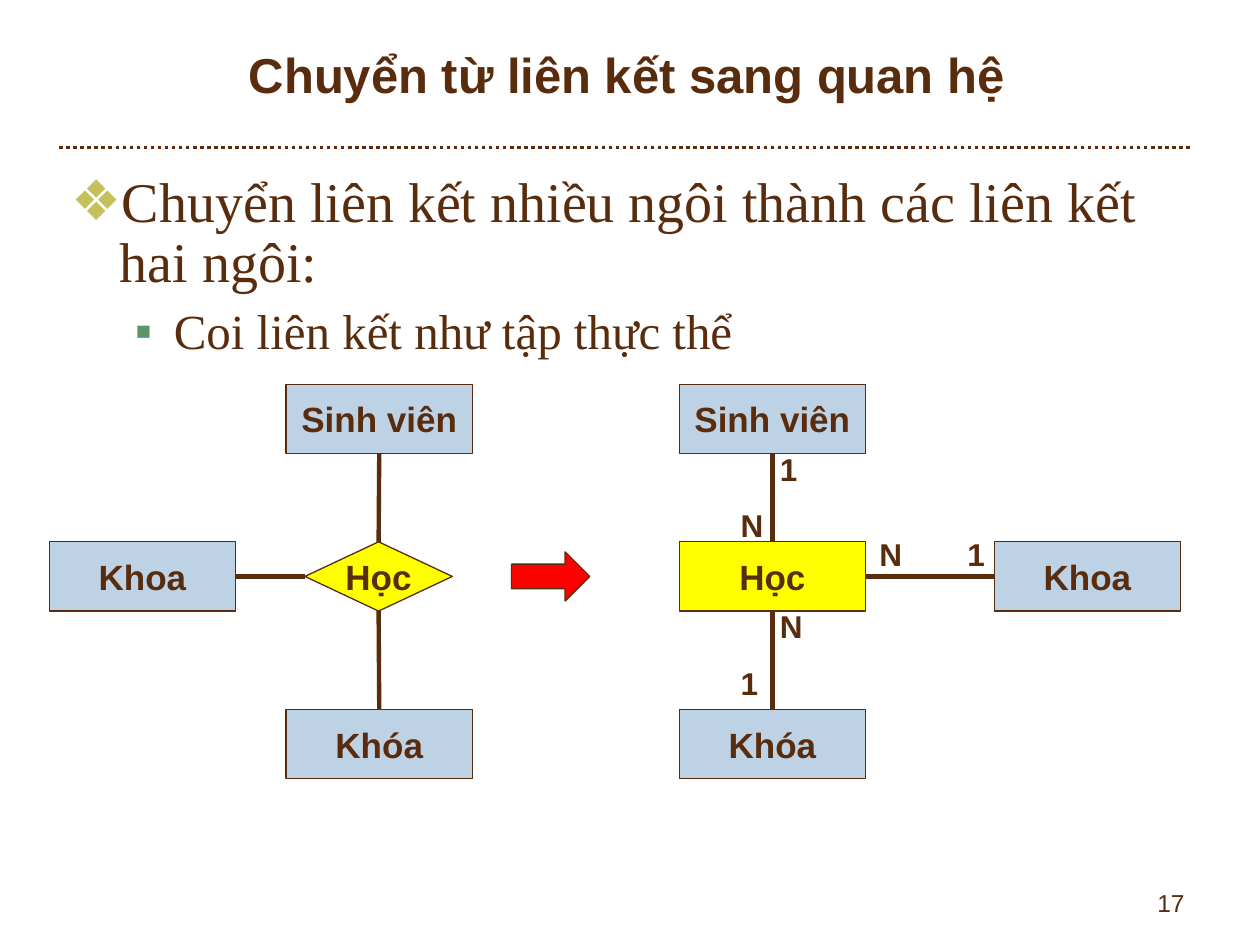
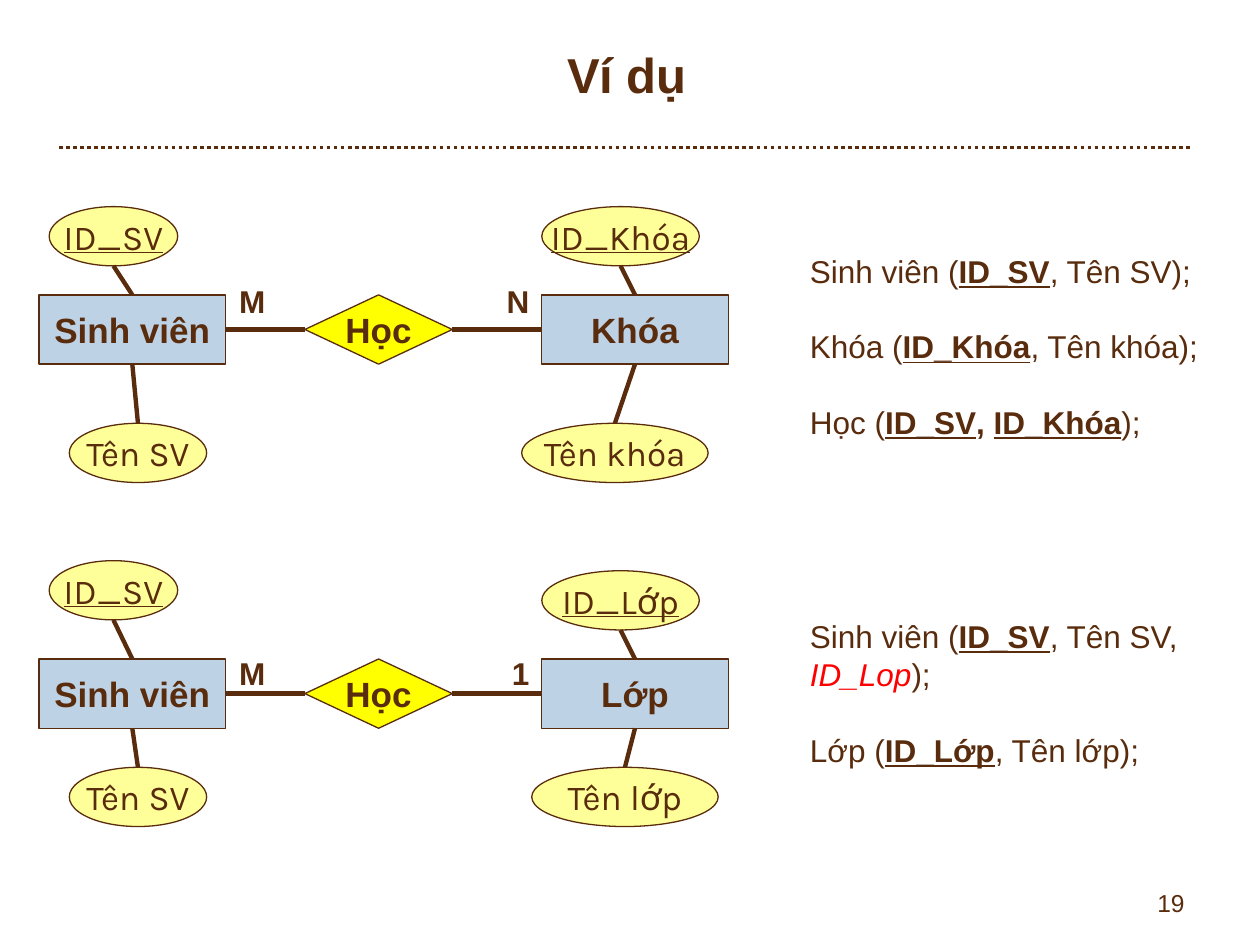
"""Build two slides on turning ER relationships into relations."""
from lxml.etree import SubElement
from pptx import Presentation
from pptx.dml.color import RGBColor
from pptx.enum.dml import MSO_LINE
from pptx.enum.shapes import MSO_CONNECTOR, MSO_SHAPE
from pptx.enum.text import MSO_ANCHOR, MSO_AUTO_SIZE, PP_ALIGN
from pptx.oxml.ns import qn
from pptx.util import Inches, Pt

BROWN = RGBColor(0x59, 0x2C, 0x0D)
BLUE = RGBColor(0xBE, 0xD2, 0xE6)
YELLOW = RGBColor(0xFF, 0xFF, 0x00)
CREAM = RGBColor(0xFF, 0xFF, 0x99)
RED = RGBColor(0xFF, 0x00, 0x00)
OLIVE = RGBColor(0xC5, 0xC0, 0x59)
GREEN = RGBColor(0x5B, 0x95, 0x69)

TOP, LEFT, BOTTOM, RIGHT = range(4)
BOX_W, BOX_H = 1.48, 0.55
GEM_W, OVAL_H = 1.17, 0.47

BULLETS = [
    ("Chuyển liên kết nhiều ngôi thành các liên kết hai ngôi:", 32, 8, "❖", OLIVE, 0.38, 0.38),
    ("Coi liên kết như tập thực thể", 28, 7, "▪", GREEN, 0.81, 0.31),
]

ROWS = (3.05, 4.3, 5.63)
STARS = [
    {"x": 2.27, "gem": True, "side": 0.39, "ends": (LEFT, RIGHT)},
    {"x": 5.39, "gem": False, "side": 7.89, "ends": (RIGHT, LEFT)},
]
COUNTS = [
    ("1", 6.09, 3.52), ("N", 5.78, 3.97),
    ("N", 6.09, 4.77), ("1", 5.78, 5.22),
    ("1", 7.58, 4.2), ("N", 6.88, 4.2),
]

CASES = [
    {
        "y": 2.34, "count": ("N", 2.19), "notes": 1.95, "high": 1.6,
        "sets": [
            ("Sinh viên", 0.31, ("ID_SV", 0.39, 1.64, 1.02), ("Tên SV", 0.55, 3.36, 1.09)),
            ("Khóa", 4.3, ("ID_Khóa", 4.3, 1.64, 1.25), ("Tên khóa", 4.14, 3.36, 1.48)),
        ],
        "lines": [
            [("Sinh viên (", ""), ("ID_SV", "bu"), (", Tên SV);", "")],
            [("Khóa (", ""), ("ID_Khóa", "bu"), (", Tên khóa);", "")],
            [("Học (", ""), ("ID_SV", "bu"), (", ", "b"), ("ID_Khóa", "bu"), (");", "")],
        ],
    },
    {
        "y": 5.23, "count": ("1", 5.14), "notes": 4.85, "high": 1.3,
        "sets": [
            ("Sinh viên", 0.31, ("ID_SV", 0.39, 4.45, 1.02), ("Tên SV", 0.55, 6.09, 1.09)),
            ("Lớp", 4.3, ("ID_Lớp", 4.3, 4.53, 1.25), ("Tên lớp", 4.22, 6.09, 1.48)),
        ],
        "lines": [
            [("Sinh viên (", ""), ("ID_SV", "bu"), (", Tên SV, ", ""), ("ID_Lop", "ir"), (");", "")],
            [("Lớp (", ""), ("ID_Lớp", "bu"), (", Tên lớp);", "")],
        ],
    },
]


def place(shape, *box):
    shape.left, shape.top, shape.width, shape.height = map(Inches, box)


def style(para, size, bold=False, face="Arial", line=False):
    font = para.font
    font.name, font.size, font.bold = face, Pt(size), bold
    font.underline = line
    font.color.rgb = BROWN


def wire(slide, start, end, width=2.5):
    line = slide.shapes.add_connector(MSO_CONNECTOR.STRAIGHT, *start, *end)
    line.line.color.rgb = BROWN
    line.line.width = Pt(width)
    SubElement(line._element.spPr, qn("a:effectLst"))
    return line


def spot(shape, side):
    mid = shape.left + shape.width // 2, shape.top + shape.height // 2
    return {
        TOP: (mid[0], shape.top),
        LEFT: (shape.left, mid[1]),
        BOTTOM: (mid[0], shape.top + shape.height),
        RIGHT: (shape.left + shape.width, mid[1]),
    }[side]


def join(slide, one, out, two, into):
    line = wire(slide, spot(one, out), spot(two, into))
    if one.auto_shape_type != MSO_SHAPE.OVAL:
        line.begin_connect(one, out)
    if two.auto_shape_type != MSO_SHAPE.OVAL:
        line.end_connect(two, into)


def draw(slide, kind, fill, x, y, w, h):
    shape = slide.shapes.add_shape(kind, *map(Inches, (x, y, w, h)))
    shape.shadow.inherit = False
    shape.fill.solid()
    shape.fill.fore_color.rgb = fill
    shape.line.color.rgb = BROWN
    shape.line.width = Pt(0.75)
    return shape


def write(shape, text, **look):
    frame = shape.text_frame
    frame.text = text
    frame.vertical_anchor = MSO_ANCHOR.MIDDLE
    para = frame.paragraphs[0]
    para.alignment = PP_ALIGN.CENTER
    style(para, 20, **look)
    return frame


def node(slide, text, x, y, fill=BLUE, kind=MSO_SHAPE.RECTANGLE, w=BOX_W):
    shape = draw(slide, kind, fill, x, y, w, BOX_H)
    frame = write(shape, text, bold=True)
    frame.margin_left = frame.margin_right = 0
    frame.margin_top = frame.margin_bottom = 0
    return shape


def gem(slide, y):
    return node(slide, "Học", 2.42, y, YELLOW, MSO_SHAPE.DIAMOND, GEM_W)


def oval(slide, text, x, y, w, key):
    shape = draw(slide, MSO_SHAPE.OVAL, CREAM, x, y, w, OVAL_H)
    write(shape, text, face="Karla", line=key).word_wrap = False
    return shape


def label(slide, text, x, y, w=0.55, h=0.4, size=18, bold=True, align=PP_ALIGN.LEFT):
    frame = slide.shapes.add_textbox(*map(Inches, (x, y, w, h))).text_frame
    frame.word_wrap = True
    frame.text = text
    para = frame.paragraphs[0]
    para.alignment = align
    style(para, size, bold)


def begin(deck, layout, title, number):
    slide = deck.slides.add_slide(deck.slide_layouts[layout])
    rule = wire(slide, (Inches(0.47), Inches(1.17)), (Inches(9.45), Inches(1.17)), 2)
    rule.line.dash_style = MSO_LINE.ROUND_DOT
    head = slide.shapes.title
    place(head, 0.5, 0.17, 8.95, 0.84)
    frame = head.text_frame
    frame.text = title
    frame.auto_size = MSO_AUTO_SIZE.NONE
    frame.vertical_anchor = MSO_ANCHOR.MIDDLE
    frame.paragraphs[0].alignment = PP_ALIGN.CENTER
    style(frame.paragraphs[0], 28, True)
    label(slide, number, 7.17, 7, 2.33, 0.35, 14, False, PP_ALIGN.RIGHT)
    return slide


def outline(slide):
    body = slide.placeholders[1]
    place(body, 0.47, 1.33, 9, 5.59)
    frame = body.text_frame
    frame.auto_size = MSO_AUTO_SIZE.NONE
    frame.text = "\n".join(item[0] for item in BULLETS)
    for level, para in enumerate(frame.paragraphs):
        _, size, gap, mark, color, left, hang = BULLETS[level]
        para.level = level
        para.line_spacing = 0.9
        para.space_before = Pt(gap)
        props = para._p.get_or_add_pPr()
        props.set("marL", str(Inches(left)))
        props.set("indent", str(-Inches(hang)))
        SubElement(SubElement(props, qn("a:buClr")), qn("a:srgbClr"), val=str(color))
        SubElement(props, qn("a:buChar"), char=mark)
        style(para, size, face="Times New Roman")


def star(slide, x, gem, side, ends):
    high, mid, low = ROWS
    core = globe(slide, x, mid, gem)
    top = node(slide, "Sinh viên", x, high)
    base = node(slide, "Khóa", x, low)
    wing = node(slide, "Khoa", side, mid)
    join(slide, top, BOTTOM, core, TOP)
    join(slide, core, ends[0], wing, ends[1])
    join(slide, base, TOP, core, BOTTOM)


def globe(slide, x, y, round_off):
    return gem(slide, y) if round_off else node(slide, "Học", x, y, YELLOW)


def notes(slide, lines, y, high):
    frame = slide.shapes.add_textbox(*map(Inches, (6.33, y, 3.44, high))).text_frame
    frame.word_wrap = True
    for row, parts in enumerate(lines):
        para = frame.add_paragraph() if row else frame.paragraphs[0]
        para.space_before = Pt(21.6 if row else 0)
        style(para, 18)
        for text, marks in parts:
            run = para.add_run()
            run.text = text
            if "b" in marks:
                run.font.bold = True
            if "u" in marks:
                run.font.underline = True
            if "i" in marks:
                run.font.italic = True
            if "r" in marks:
                run.font.color.rgb = RED


def case(slide, y, count, notes_y, high, sets, lines):
    core = gem(slide, y)
    ends = ((RIGHT, LEFT), (LEFT, RIGHT))
    for (name, x, key, attr), (out, into) in zip(sets, ends):
        box = node(slide, name, x, y)
        join(slide, box, out, core, into)
        join(slide, oval(slide, *key, True), BOTTOM, box, TOP)
        join(slide, oval(slide, *attr, False), TOP, box, BOTTOM)
    text, top = count
    label(slide, "M", 1.8, top)
    label(slide, text, 3.75, top, align=PP_ALIGN.RIGHT)
    notes(slide, lines, notes_y, high)


def main():
    deck = Presentation()
    deck.slide_width, deck.slide_height = Inches(10), Inches(7.5)
    slide = begin(deck, 1, "Chuyển từ liên kết sang quan hệ", "17")
    outline(slide)
    for item in STARS:
        star(slide, **item)
    draw(slide, MSO_SHAPE.RIGHT_ARROW, RED, 4.06, 4.38, 0.62, 0.39)
    for count in COUNTS:
        label(slide, *count)
    slide = begin(deck, 5, "Ví dụ", "19")
    for item in CASES:
        case(slide, *(item[key] for key in ("y", "count", "notes", "high", "sets", "lines")))
    deck.save("out.pptx")


if __name__ == "__main__":
    main()
